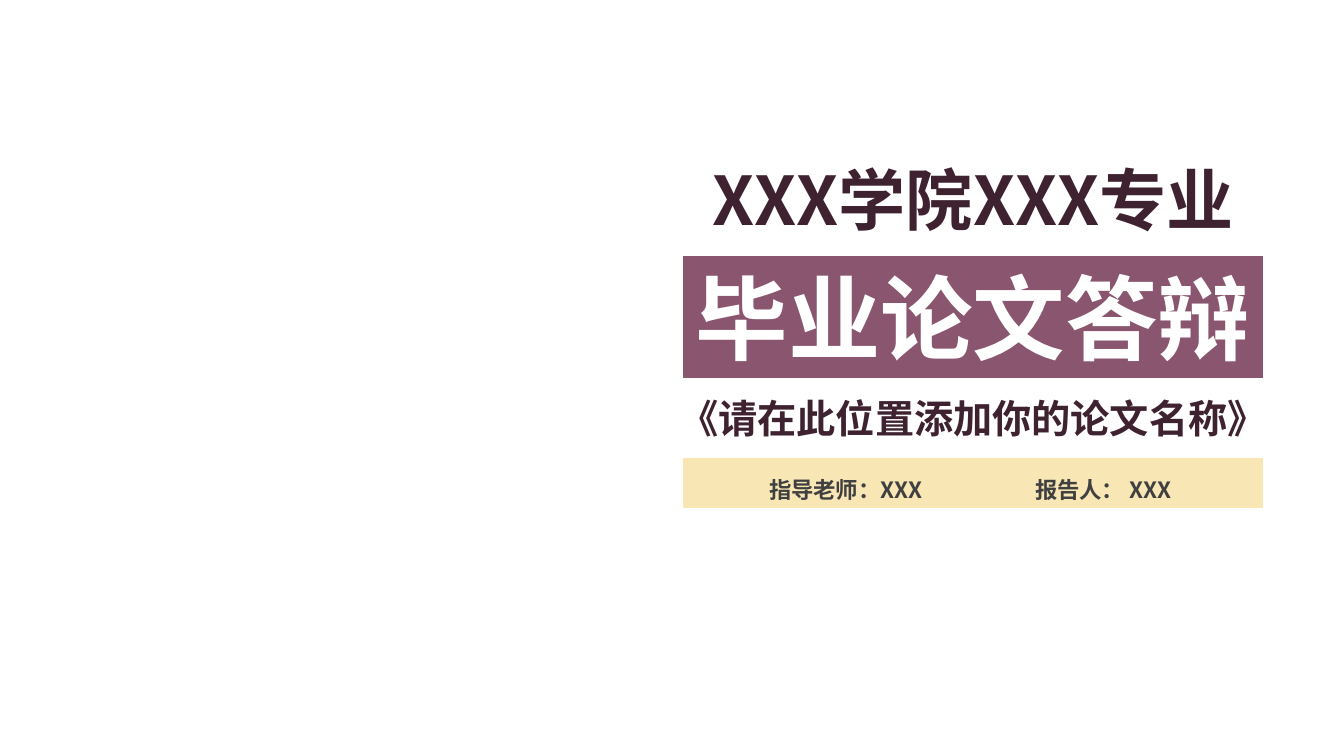
from lxml import etree
from pptx import Presentation
from pptx.dml.color import RGBColor
from pptx.enum.shapes import MSO_SHAPE
from pptx.enum.text import MSO_ANCHOR, MSO_AUTO_SIZE, PP_ALIGN
from pptx.oxml.ns import qn
from pptx.util import Pt

PX = 914400 / 100.8
PLUM = RGBColor(0x7E, 0x44, 0x60)
DARK_PLUM = RGBColor(0x3F, 0x22, 0x30)
CREAM = RGBColor(0xF3, 0xD0, 0x6C)
WHITE = RGBColor(0xFF, 0xFF, 0xFF)
GREY = RGBColor(0x40, 0x40, 0x40)
CJK_FONT = "Noto Sans CJK SC"
DISPLAY_FONT = "Quicksand"


def px(n):
    return round(n * PX)


def place(sp, box):
    sp.left, sp.top, sp.width, sp.height = map(px, box)


def fill_band(sp, color, opacity):
    """Fill a borderless band; opacity is in percent."""
    sp.fill.solid()
    sp.fill.fore_color.rgb = color
    clr = sp._element.spPr.find(qn("a:solidFill"))[0]
    etree.SubElement(clr, qn("a:alpha"), val=str(opacity * 1000))
    sp.line.fill.background()


def write(sp, text, size, font, color, align=PP_ALIGN.CENTER, wrap=False):
    tf = sp.text_frame
    tf.auto_size = MSO_AUTO_SIZE.NONE
    tf.word_wrap = wrap
    tf.vertical_anchor = MSO_ANCHOR.MIDDLE
    tf.margin_left = tf.margin_right = tf.margin_top = tf.margin_bottom = 0
    p = tf.paragraphs[0]
    r = p.add_run()
    r.text = text
    p.alignment = align
    p.line_spacing = 1.0
    p.font.size = Pt(size)
    p.font.bold = True
    p.font.name = font
    p.font.color.rgb = color
    latin = p.font._element.find(qn("a:latin"))
    latin.addnext(latin.makeelement(qn("a:ea"), {"typeface": CJK_FONT}))
    return p


def add_line(s, box, text, size, font):
    sp = s.shapes.add_textbox(*map(px, box))
    write(sp, text, size, font, DARK_PLUM)


def add_title_band(s, box):
    sp = s.shapes.title
    place(sp, box)
    fill_band(sp, PLUM, 90)
    write(sp, "毕业论文答辩", 66, DISPLAY_FONT, WHITE)


def add_people_band(s, box):
    """Advisor and presenter, the second set off by a tab stop."""
    sp = s.shapes.add_shape(MSO_SHAPE.RECTANGLE, *map(px, box))
    sp.shadow.inherit = False
    fill_band(sp, CREAM, 50)
    p = write(sp, "指导老师：XXX\t报告人： XXX", 16, CJK_FONT, GREY,
              PP_ALIGN.LEFT, wrap=True)
    p.line_spacing = 1.5
    sp.text_frame.margin_left = px(86)
    tabs = p.font._element.makeelement(qn("a:tabLst"), {})
    etree.SubElement(tabs, qn("a:tab"), pos=str(px(266)), algn="l")
    p.font._element.addprevious(tabs)


def add_cover(s, box):
    left, top, width, height = box
    add_line(s, (left, top, width, 92), "XXX学院XXX专业", 48, CJK_FONT)
    add_title_band(s, (left, top + 103, width, 122))
    add_line(s, (left, top + 236, width, 57),
             "《请在此位置添加你的论文名称》", 28, DISPLAY_FONT)
    add_people_band(s, (left, top + height - 50, width, 50))


def main():
    prs = Presentation()
    prs.slide_width, prs.slide_height = px(1344), px(756)
    s = prs.slides.add_slide(prs.slide_layouts[5])
    add_cover(s, (683, 153, 580, 355))
    prs.save("out.pptx")


if __name__ == "__main__":
    main()
